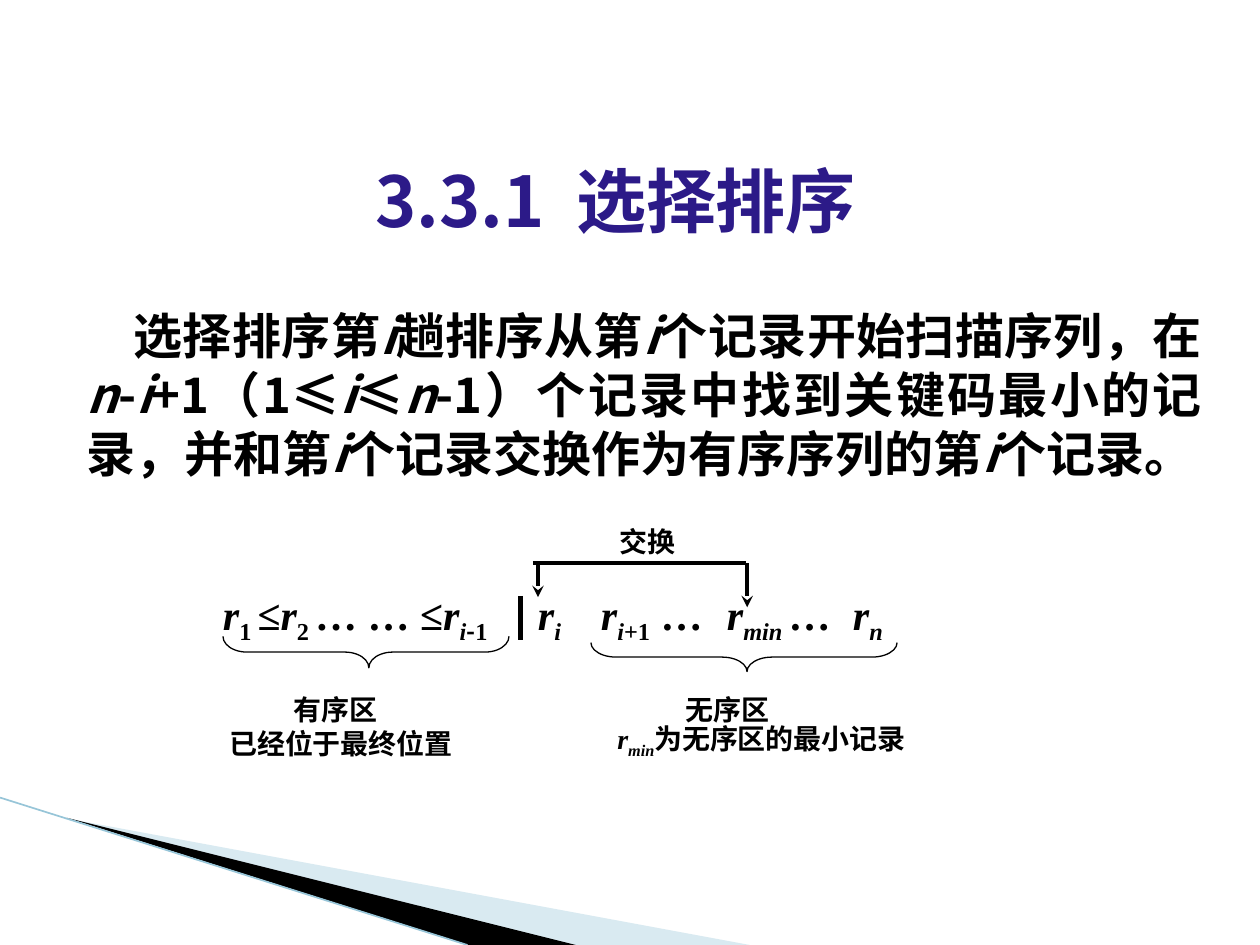
"""Build the selection sort slide with its ordered and unordered zones."""
from dataclasses import dataclass
from typing import Sequence

from lxml import etree
from pptx import Presentation
from pptx.dml.color import RGBColor
from pptx.enum.shapes import MSO_CONNECTOR, MSO_SHAPE
from pptx.enum.text import MSO_ANCHOR, PP_ALIGN
from pptx.oxml.ns import qn
from pptx.util import Inches, Pt

STRAIGHT = MSO_CONNECTOR.STRAIGHT
LEFT_BRACE = MSO_SHAPE.LEFT_BRACE
LEFT, CENTER, JUSTIFY = PP_ALIGN.LEFT, PP_ALIGN.CENTER, PP_ALIGN.JUSTIFY
TOP, MIDDLE = MSO_ANCHOR.TOP, MSO_ANCHOR.MIDDLE


@dataclass(frozen=True)
class Theme:
    sans: str = "Noto Sans CJK SC"
    serif: str = "Times New Roman"
    ink: str = "000000"
    title: str = "2C1A88"
    wedge: str = "A0CBDC"
    edge: str = "97C5D8"
    title_size: float = 40
    body_size: float = 28
    formula_size: float = 24
    label_size: float = 16
    body_leading: float = 33.7
    label_leading: float = 19.4


THEME = Theme()


@dataclass(frozen=True)
class Span:
    text: str
    italic: bool = False
    subscript: bool = False
    font: str = THEME.serif


@dataclass(frozen=True)
class Line:
    spans: Sequence[Span]
    align: PP_ALIGN = LEFT
    margin: float = 0
    first_indent: float = 0
    leading: float = 0
    tabs: Sequence[float] = ()


@dataclass(frozen=True)
class TextBlock:
    box: tuple[float, float, float, float]
    lines: Sequence[Line]
    size: float
    color: str = THEME.ink
    anchor: MSO_ANCHOR = TOP


@dataclass(frozen=True)
class Stroke:
    start: tuple[float, float]
    end: tuple[float, float]
    width: float = 2.25
    color: str = THEME.ink
    arrow: bool = False


@dataclass(frozen=True)
class Brace:
    box: tuple[float, float, float, float]
    curve: float


@dataclass(frozen=True)
class Wedge:
    points: Sequence[tuple[float, float]]
    color: str
    opacity: int


def sans(text: str, italic: bool = False) -> Span:
    return Span(text, italic, font=THEME.sans)


def record(index: str, italic: bool = True) -> list[Span]:
    return [Span("r", True), Span(index, italic, True)]


def add_text(slide, block: TextBlock) -> None:
    shape = slide.shapes.add_textbox(*map(Inches, block.box))
    frame = shape.text_frame
    frame.word_wrap = True
    frame.vertical_anchor = block.anchor
    frame.margin_left = frame.margin_right = 0
    frame.margin_top = frame.margin_bottom = 0
    for number, line in enumerate(block.lines):
        paragraph = frame.add_paragraph() if number else frame.paragraphs[0]
        paragraph.alignment = line.align
        if line.leading:
            paragraph.line_spacing = Pt(line.leading)
        properties = paragraph._p.get_or_add_pPr()
        properties.set("marL", str(Inches(line.margin)))
        properties.set("indent", str(Inches(line.first_indent)))
        if line.tabs:
            tab_list = etree.SubElement(properties, qn("a:tabLst"))
            for position in line.tabs:
                etree.SubElement(tab_list, qn("a:tab"), pos=str(Inches(position)), algn="l")
        for span in line.spans:
            run = paragraph.add_run()
            run.text = span.text
            font = run.font
            font.name, font.size, font.bold = span.font, Pt(block.size), True
            font.italic = span.italic
            font.color.rgb = RGBColor.from_string(block.color)
            run_properties = run._r.get_or_add_rPr()
            if span.subscript:
                run_properties.set("baseline", "-25000")
            etree.SubElement(run_properties, qn("a:ea"), typeface=THEME.sans)


def add_stroke(slide, stroke: Stroke) -> None:
    ends = map(Inches, (*stroke.start, *stroke.end))
    connector = slide.shapes.add_connector(STRAIGHT, *ends)
    connector.line.width = Pt(stroke.width)
    connector.line.color.rgb = RGBColor.from_string(stroke.color)
    if stroke.arrow:
        etree.SubElement(connector.line._get_or_add_ln(), qn("a:tailEnd"), type="stealth")
    etree.SubElement(connector._element.spPr, qn("a:effectLst"))


def add_brace(slide, brace: Brace) -> None:
    shape = slide.shapes.add_shape(LEFT_BRACE, *map(Inches, brace.box))
    shape.shadow.inherit = False
    shape.rotation = 270
    shape.adjustments[0], shape.adjustments[1] = brace.curve, 0.51
    shape.fill.background()
    shape.line.color.rgb = RGBColor.from_string(THEME.ink)
    shape.line.width = Pt(0.75)


def add_wedge(slide, wedge: Wedge) -> None:
    points = [(Inches(x), Inches(y)) for x, y in wedge.points]
    builder = slide.shapes.build_freeform(*points[0], scale=1.0)
    builder.add_line_segments(points[1:], close=True)
    shape = builder.convert_to_shape()
    shape.shadow.inherit = False
    shape.line.fill.background()
    shape.fill.solid()
    shape.fill.fore_color.rgb = RGBColor.from_string(wedge.color)
    color = shape._element.spPr.find(qn("a:solidFill"))[0]
    etree.SubElement(color, qn("a:alpha"), val=str(wedge.opacity * 1000))


WEDGES = (
    Wedge(((0.55, 6.5), (5.95, 7.5), (4.56, 7.5)), THEME.wedge, 40),
    Wedge(((0.53, 6.49), (4.57, 7.5), (3.72, 7.5)), THEME.ink, 100),
)
BRACES = (Brace((5.79, 4, 0.23, 2.43), 0.87), Brace((2.78, 4.04, 0.25, 2.27), 0.76))
STROKES = (
    Stroke((0, 6.33), (3.71, 7.5), 0.95, THEME.edge),
    Stroke((4.13, 4.73), (4.13, 5.08), 3),
    Stroke((4.23, 4.47), (5.92, 4.47)),
    Stroke((5.93, 4.47), (5.93, 4.82), arrow=True),
    Stroke((4.27, 4.47), (4.27, 4.74), arrow=True),
)
BODY = (
    sans("选择排序第"), sans("i", True), sans("趟排序从第"), sans("i", True),
    sans("个记录开始扫描序列，在"), sans("n", True), sans("-"), sans("i", True),
    sans("+1（1≤"), sans("i", True), sans("≤"), sans("n", True),
    sans("-1）个记录中找到关键码最小的记录，并和第"), sans("i", True),
    sans("个记录交换作为有序序列的第"), sans("i", True), sans("个记录。"),
)
FORMULA = (
    *record("1 ", False), Span("≤"), *record("2 ", False), Span("… … ≤"),
    *record("i"), Span("-", False, True, THEME.sans), Span("1", False, True),
    Span("\t"), *record("i"), Span("\t"), *record("i"), Span("+1", False, True),
    Span(" …"), Span("\t"), *record("min "), Span("…"), Span("\t"), *record("n"),
)
LABEL = THEME.label_leading
TEXTS = (
    TextBlock((1.55, 1.2, 6.67, 0.77), [Line([sans("3.3.1  选择排序")], CENTER)],
              THEME.title_size, THEME.title, MIDDLE),
    TextBlock((0.69, 2.42, 8.85, 1.9),
              [Line(BODY, JUSTIFY, first_indent=0.37, leading=THEME.body_leading)],
              THEME.body_size),
    TextBlock((1.77, 4.67, 6.5, 0.5), [Line(FORMULA, tabs=(2.32, 2.63, 3.68, 4.64))],
              THEME.formula_size),
    TextBlock((1.82, 5.49, 2.2, 0.55),
              [Line([Span("有序区")], margin=0.51, leading=LABEL),
               Line([Span("已经位于最终位置")], leading=LABEL)], THEME.label_size),
    TextBlock((4.9, 5.49, 2.8, 0.55),
              [Line([Span("无序区")], margin=0.54, leading=LABEL),
               Line([*record("min"), Span("为无序区的最小记录")], leading=LABEL)],
              THEME.label_size),
    TextBlock((4.92, 4.16, 0.61, 0.26), [Line([Span("交换")], leading=LABEL)],
              THEME.label_size),
)


def main() -> None:
    presentation = Presentation()
    presentation.slide_width, presentation.slide_height = Inches(10), Inches(7.5)
    slide = presentation.slides.add_slide(presentation.slide_layouts[6])
    for items, draw in ((WEDGES, add_wedge), (STROKES, add_stroke),
                        (BRACES, add_brace), (TEXTS, add_text)):
        for item in items:
            draw(slide, item)
    presentation.save("out.pptx")


if __name__ == "__main__":
    main()
